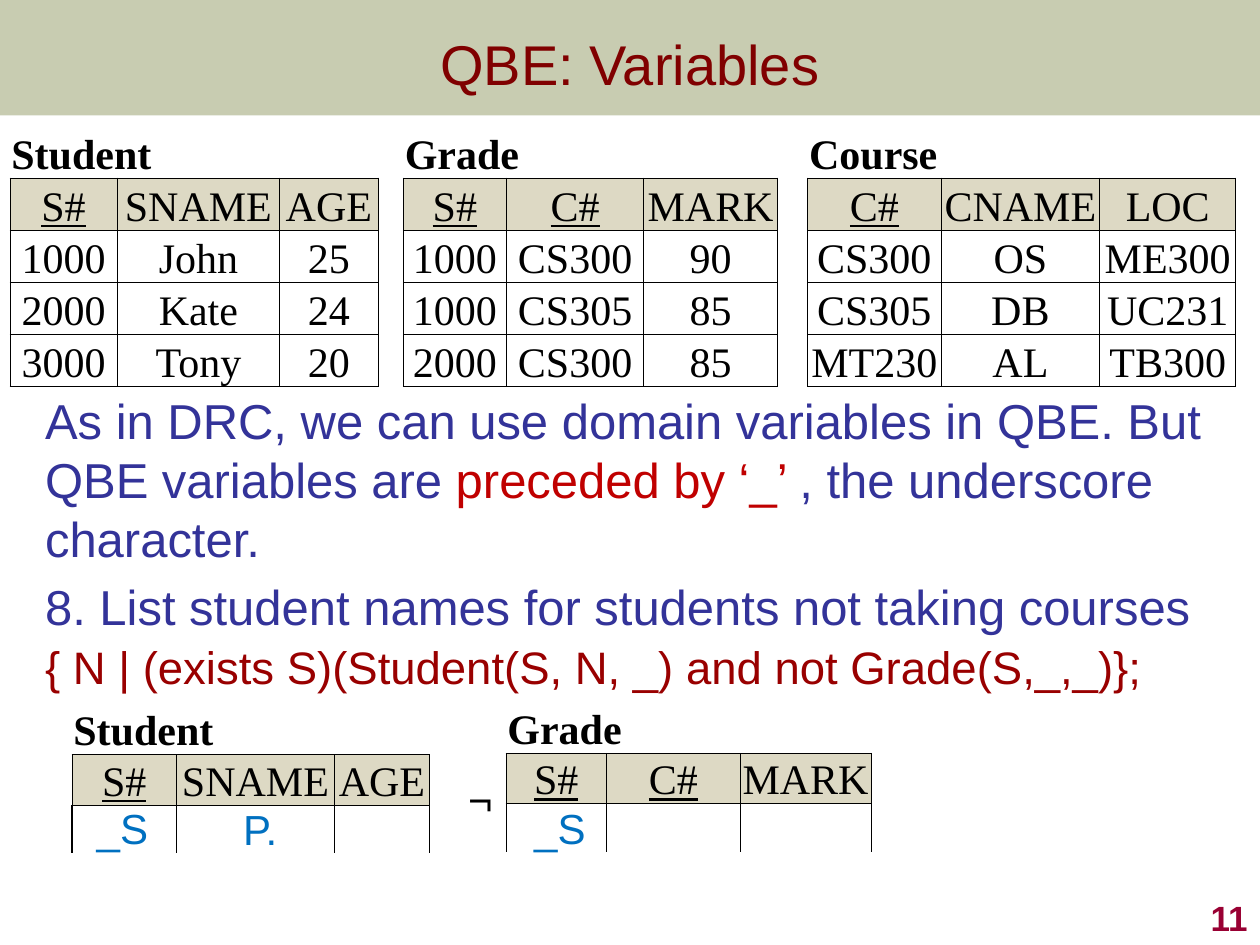
from lxml import etree
from pptx import Presentation
from pptx.dml.color import RGBColor
from pptx.enum.shapes import MSO_SHAPE
from pptx.enum.text import MSO_ANCHOR as Anchor, PP_ALIGN as Align
from pptx.oxml.ns import qn
from pptx.util import Cm, Pt


def color(value):
    return RGBColor.from_string(value)


def write(paragraph, text, size=24, font="Arial", fill="000000", align=Align.LEFT, **style):
    paragraph.alignment = align
    run = paragraph.add_run()
    run.text = text
    run.font.size = Pt(size)
    run.font.name = font
    run.font.color.rgb = color(fill)
    for name, value in style.items():
        setattr(run.font, name, value)


presentation = Presentation()
presentation.slide_width = Cm(25.4)
presentation.slide_height = Cm(19.05)
slide = presentation.slides.add_slide(presentation.slide_layouts[6])

banner = slide.shapes.add_shape(MSO_SHAPE.RECTANGLE, 0, 0, Cm(25.4), Cm(2.33))
banner.shadow.inherit = False
banner.fill.solid()
banner.fill.fore_color.rgb = color("677228")
banner.line.fill.background()
banner_color = banner.fill._xPr.find(qn("a:solidFill"))[0]
etree.SubElement(banner_color, qn("a:alpha"), val="36000")

title = slide.shapes.add_textbox(0, 0, Cm(25.4), Cm(2.54)).text_frame
title.word_wrap = True
title.vertical_anchor = Anchor.MIDDLE
write(title.paragraphs[0], "QBE: Variables", size=32, fill="800000", align=Align.CENTER)

body = slide.shapes.add_textbox(Cm(0.66), Cm(7.75), Cm(24.1), Cm(6.55)).text_frame
body.word_wrap = True
body.margin_right = 0
explanation = body.paragraphs[0]
write(explanation, "As in DRC, we can use domain variables in QBE. But QBE variables are ",
      size=28, fill="333399")
write(explanation, "preceded by ‘_’ ", size=28, fill="C00000")
write(explanation, ", the underscore character.", size=28, fill="333399")
question = body.add_paragraph()
question.space_before = Pt(5.6)
write(question, "8. List student names for students not taking courses", size=28, fill="333399")
formula = body.add_paragraph()
formula.space_before = Pt(5.2)
formula.line_spacing = 0.9
write(formula, "{ N | (exists S)(Student(S, N, _) and not Grade(S,_,_)};", size=26, fill="990000")

number = slide.shapes.add_textbox(Cm(20.12), Cm(17.78), Cm(5.28), Cm(1.27)).text_frame
number.word_wrap = True
number.vertical_anchor = Anchor.BOTTOM
write(number.paragraphs[0], "11", size=20, fill="990033", align=Align.RIGHT, bold=True)

tables = [
    (1.45, 14.2, 0.97, 1, [2.11, 3.18, 1.92], [
        ["Student", "", ""],
        ["S#", "SNAME", "AGE"],
        ["", "", ""]]),
    (10.2, 14.17, 0.97, 0.5, [2.03, 2.69, 2.64], [
        ["Grade", "", ""],
        ["S#", "C#", "MARK"],
        ["", "", ""]]),
    (0.2, 2.54, 1.05, 0.5, [2.16, 3.28, 1.98, 0.51, 2.08, 2.77, 2.69, 0.61, 2.69, 3.2, 2.74], [
        ["Student", "", "", "", "Grade", "", "", "", "Course", "", ""],
        ["S#", "SNAME", "AGE", "", "S#", "C#", "MARK", "", "C#", "CNAME", "LOC"],
        ["1000", "John", "25", "", "1000", "CS300", "90", "", "CS300", "OS", "ME300"],
        ["2000", "Kate", "24", "", "1000", "CS305", "85", "", "CS305", "DB", "UC231"],
        ["3000", "Tony", "20", "", "2000", "CS300", "85", "", "MT230", "AL", "TB300"]]),
]
for left, top, row_height, query_line, widths, rows in tables:
    table = slide.shapes.add_table(
        len(rows), len(widths), Cm(left), Cm(top), Cm(sum(widths)), Cm(row_height * len(rows))
    ).table
    for column, width in zip(table.columns, widths):
        column.width = Cm(width)
    for row, texts in enumerate(rows):
        table.rows[row].height = Cm(row_height)
        for column, text in enumerate(texts):
            cell = table.cell(row, column)
            is_gap = column % 4 == 3
            is_query = row > 1 and not any(texts)
            if row == 0:
                sides = "" if is_gap else "B"
            elif is_gap:
                sides = "LR"
            else:
                sides = "LRT" if is_query else "LRTB"
            cell.margin_left = cell.margin_right = Cm(0.03)
            cell.margin_top = cell.margin_bottom = 0
            cell.vertical_anchor = Anchor.BOTTOM
            line_width = Pt(query_line if is_query else 0.5)
            for side in "LRTB":
                line = etree.SubElement(cell._tc.get_or_add_tcPr(), qn(f"a:ln{side}"),
                                        w=str(line_width))
                if side in sides:
                    line_fill = etree.SubElement(line, qn("a:solidFill"))
                    etree.SubElement(line_fill, qn("a:srgbClr"), val="000000")
                else:
                    etree.SubElement(line, qn("a:noFill"))
            cell.fill.solid()
            cell.fill.fore_color.rgb = color("DDD9C4" if row == 1 and not is_gap else "FFFFFF")
            if text:
                write(cell.text_frame.paragraphs[0], text, font="Times New Roman",
                      align=Align.CENTER if row else Align.LEFT,
                      bold=row == 0, underline=row == 1 and text.endswith("#"))
            if row == 0 and text:
                cell.merge(table.cell(0, column + 2))

labels = [
    ("P.", 4.65, 16.08, 1.22, "0070C0", False),
    ("_S", 1.7, 16.05, 1.55, "0070C0", False),
    ("_S", 10.52, 16.05, 1.55, "0070C0", False),
    ("¬", 9.19, 15.47, 1.02, "000000", True),
]
for text, left, top, width, fill, italic in labels:
    label = slide.shapes.add_textbox(Cm(left), Cm(top), Cm(width), Cm(1.27)).text_frame
    label.word_wrap = False
    write(label.paragraphs[0], text, fill=fill, italic=italic)

presentation.save("out.pptx")
